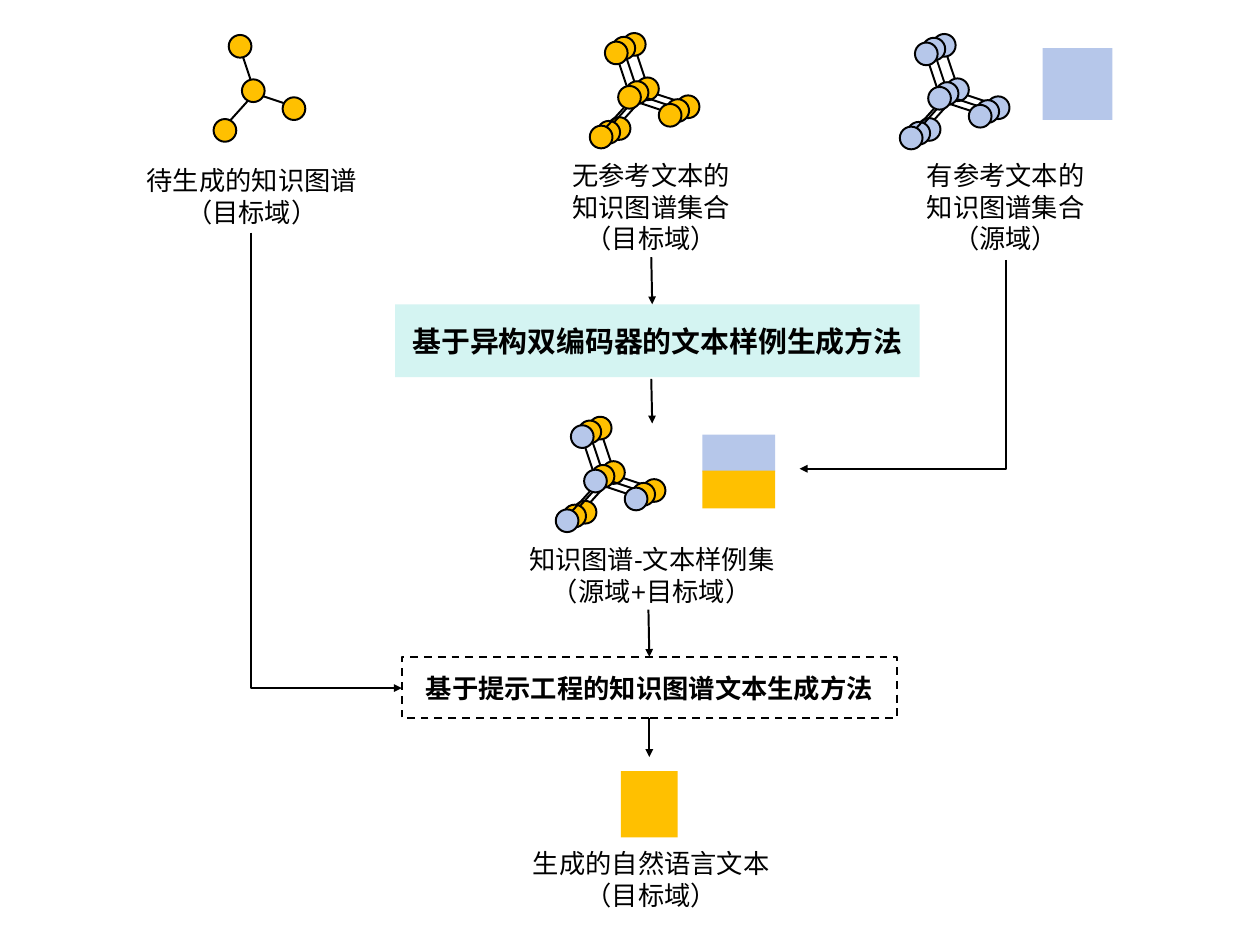
import pptx
import pptx.dml.color
import pptx.enum.dml
import pptx.enum.shapes
import pptx.enum.text
import pptx.oxml.ns
import pptx.util
from dataclasses import dataclass
from lxml import etree
from pptx.util import Inches


@dataclass(frozen=True)
class Theme:
    font: str = "Arial"
    target: str = "FFC000"
    source: str = "B6C7EA"
    method: str = "D4F4F2"
    ink: str = "000000"
    label_size: int = 20
    method_size: int = 22
    line_width: float = 1.5


NODE_SIZE = 0.24
# Offsets from the corner of a graph's top node
NODES = [(0, 0), (0.14, 0.47), (-0.16, 0.89), (0.57, 0.66)]
EDGES = [((0.15, 0.23), (0.23, 0.47)),
         ((0.02, 0.90), (0.20, 0.70)),
         ((0.58, 0.72), (0.37, 0.65))]
LAYERS = [(0, 0), (-0.11, 0.04), (-0.19, 0.09)]


def colour(value):
    return pptx.dml.color.RGBColor.from_string(value)


class Diagram:
    def __init__(self, slide, theme):
        self.slide = slide
        self.theme = theme

    def ink(self, line):
        line.color.rgb = colour(self.theme.ink)
        line.width = pptx.util.Pt(self.theme.line_width)

    def shape(self, preset, box, fill=None, outlined=False, shapes=None):
        item = (shapes or self.slide.shapes).add_shape(preset, *map(Inches, box))
        item.shadow.inherit = False
        if fill:
            item.fill.solid()
            item.fill.fore_color.rgb = colour(fill)
        else:
            item.fill.background()
        if outlined:
            self.ink(item.line)
        else:
            item.line.fill.background()
        return item

    def block(self, box, fill=None, outlined=False):
        return self.shape(pptx.enum.shapes.MSO_SHAPE.RECTANGLE, box, fill, outlined)

    def set_text(self, holder, lines, size, bold=False):
        frame = holder.text_frame
        frame.word_wrap = True
        frame.text = "\n".join(lines)
        for paragraph in frame.paragraphs:
            paragraph.alignment = pptx.enum.text.PP_ALIGN.CENTER
            paragraph.font.name = self.theme.font
            paragraph.font.size = pptx.util.Pt(size)
            paragraph.font.bold = bold
            paragraph.font.color.rgb = colour(self.theme.ink)

    def label(self, box, *lines):
        self.set_text(self.slide.shapes.add_textbox(*map(Inches, box)),
                      lines, self.theme.label_size)

    def line(self, start, end, shapes=None):
        connector = (shapes or self.slide.shapes).add_connector(
            pptx.enum.shapes.MSO_CONNECTOR.STRAIGHT, *map(Inches, (*start, *end)))
        self.ink(connector.line)
        etree.SubElement(connector._element.spPr, pptx.oxml.ns.qn("a:effectLst"))
        return connector

    def arrow(self, start, end):
        connector = self.line(start, end)
        outline = connector._element.spPr.find(pptx.oxml.ns.qn("a:ln"))
        etree.SubElement(outline, pptx.oxml.ns.qn("a:tailEnd"), type="triangle")
        return connector

    def corner_arrow(self, start, end):
        """Arrow that runs down from start, then sideways to end."""
        (x1, y1), (x2, y2) = start, end
        mid_x, mid_y = (x1 + x2) / 2, (y1 + y2) / 2
        half_drop, half_run = (y2 - y1) / 2, (x1 - x2) / 2
        # The preset bends sideways first, so it is laid flat and turned by 90°
        connector = self.arrow((mid_x - half_drop, mid_y - half_run),
                               (mid_x + half_drop, mid_y + half_run))
        properties = connector._element.spPr
        properties.find(pptx.oxml.ns.qn("a:xfrm")).set("rot", str(90 * 60000))
        properties.find(pptx.oxml.ns.qn("a:prstGeom")).set("prst", "bentConnector2")

    def graph(self, left, top, fill):
        shapes = self.slide.shapes.add_group_shape().shapes
        for dx, dy in NODES:
            self.shape(pptx.enum.shapes.MSO_SHAPE.OVAL,
                       (left + dx, top + dy, NODE_SIZE, NODE_SIZE),
                       fill, True, shapes)
        for edge in EDGES:
            self.line(*((left + dx, top + dy) for dx, dy in edge), shapes)

    def graph_stack(self, left, top, fills):
        """Overlapping graphs, the rearmost first."""
        for (dx, dy), fill in zip(LAYERS, fills):
            self.graph(left + dx, top + dy, fill)


def main():
    presentation = pptx.Presentation()
    presentation.slide_width = Inches(13.33)
    presentation.slide_height = Inches(10.02)
    theme = Theme()
    diagram = Diagram(
        presentation.slides.add_slide(presentation.slide_layouts[6]), theme)

    # Inputs
    diagram.graph(2.42, 0.37, theme.target)
    diagram.label((1.43, 1.69, 2.47, 0.77), "待生成的知识图谱（目标域）")
    diagram.graph_stack(6.59, 0.35, [theme.target] * 3)
    diagram.label((5.95, 1.64, 1.88, 1.11), "无参考文本的", "知识图谱集合", "（目标域）")
    diagram.graph_stack(9.87, 0.36, [theme.source] * 3)
    diagram.block((11.03, 0.51, 0.74, 0.76), theme.source)
    diagram.label((9.39, 1.64, 2.5, 1.11), "有参考文本的", "知识图谱集合", "（源域）")

    # Sample generation
    sample_method = diagram.block((4.18, 3.22, 5.55, 0.77), theme.method)
    diagram.set_text(sample_method, ["基于异构双编码器的文本样例生成方法"],
                     theme.method_size, bold=True)
    diagram.graph_stack(6.23, 4.41, [theme.target, theme.target, theme.source])
    diagram.block((7.43, 4.6, 0.77, 0.39), theme.source)
    diagram.block((7.43, 4.98, 0.77, 0.4), theme.target)
    diagram.label((5.34, 5.7, 3.11, 0.77), "知识图谱-文本样例集", "（源域+目标域）")

    # Text generation
    text_method = diagram.block((4.25, 6.95, 5.24, 0.65), outlined=True)
    text_method.line.dash_style = pptx.enum.dml.MSO_LINE.DASH
    diagram.set_text(text_method, ["基于提示工程的知识图谱文本生成方法"],
                     theme.label_size, bold=True)
    diagram.block((6.57, 8.16, 0.6, 0.7), theme.target)
    diagram.label((5.46, 8.92, 2.86, 0.77), "生成的自然语言文本", "（目标域）")

    # Flow
    diagram.arrow((6.89, 2.72), (6.9, 3.22))
    diagram.arrow((6.89, 4.01), (6.9, 4.48))
    diagram.arrow((6.86, 6.45), (6.87, 6.95)).end_connect(text_method, 0)
    diagram.arrow((6.87, 7.6), (6.87, 8.01)).begin_connect(text_method, 2)
    diagram.corner_arrow((2.66, 2.46), (4.25, 7.28))
    diagram.corner_arrow((10.64, 2.75), (8.46, 4.96))

    presentation.save("out.pptx")


if __name__ == "__main__":
    main()
